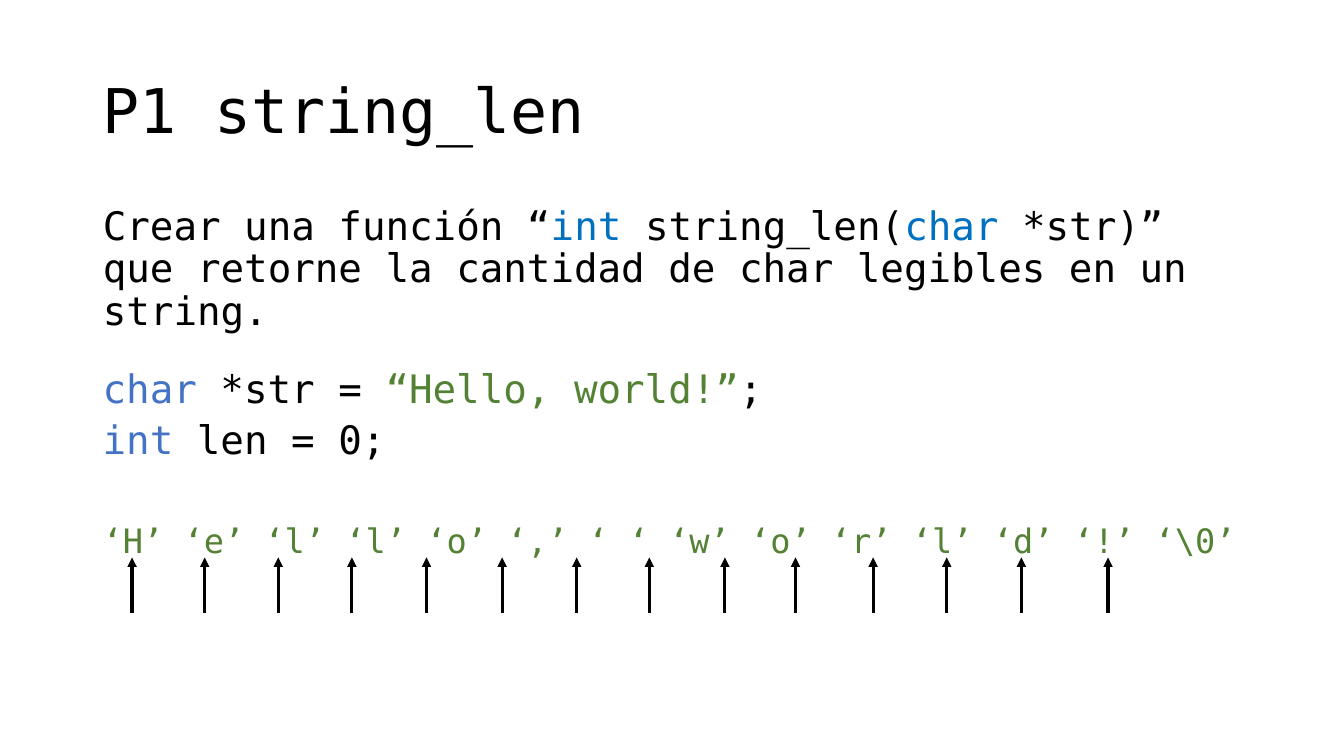
from lxml import etree
from pptx import Presentation
from pptx.dml.color import RGBColor
from pptx.enum.shapes import MSO_CONNECTOR
from pptx.enum.text import MSO_ANCHOR, MSO_AUTO_SIZE, PP_ALIGN
from pptx.oxml.ns import qn
from pptx.util import Pt

STRAIGHT = MSO_CONNECTOR.STRAIGHT
TOP, MIDDLE = MSO_ANCHOR.TOP, MSO_ANCHOR.MIDDLE
LEFT = PP_ALIGN.LEFT
NO_AUTOFIT = MSO_AUTO_SIZE.NONE

# Content: a paragraph is (size, space before, runs), a run is (text, colour)
FONT = "DejaVu Sans Mono"
COLORS = {"black": "000000", "type": "0070C0", "keyword": "4472C4", "string": "548235"}
HEADING = [(44, 0, [("P1 string_len", "black")])]
TASK = [(28, 10, [
    ("Crear una función “", "black"),
    ("int ", "type"),
    ("string_len(", "black"),
    ("char", "type"),
    (" *str)” que retorne la cantidad de char legibles en un string.", "black"),
])]
CODE = [
    (28, 0, [("char", "keyword"), (" *str = ", "black"),
             ("“Hello, world!”", "string"), (";", "black")]),
    (28, 10, [("int ", "keyword"), ("len = 0;", "black")]),
    (24, 47, [("‘H’ ‘e’ ‘l’ ‘l’ ‘o’ ‘,’ ‘ ‘ ‘w’ ‘o’ ‘r’ ‘l’ ‘d’ ‘!’ ‘\\0’", "string")]),
]

# Layout in px, 100 to the inch
PX = 9144
MARGIN, TEXT_WIDTH = 92, 1150
CODE_INSET = 65
ARROW_XS = [131, 203, 276, 349, 423, 498, 572, 644, 719, 789, 866, 939, 1013, 1099]
ARROW_FOOT, ARROW_TIP = 608, 553


def color(name):
    return RGBColor.from_string(COLORS[name])


def fill_text(block, top, height, paragraphs, line_spacing, anchor=TOP):
    block.left, block.top = MARGIN * PX, top * PX
    block.width, block.height = TEXT_WIDTH * PX, height * PX
    frame = block.text_frame
    frame.word_wrap = True
    frame.auto_size = NO_AUTOFIT
    frame.vertical_anchor = anchor
    for i, (size, space_before, runs) in enumerate(paragraphs):
        paragraph = frame.add_paragraph() if i else frame.paragraphs[0]
        paragraph.alignment = LEFT
        paragraph.line_spacing = line_spacing
        paragraph.space_before = Pt(space_before)
        properties = paragraph._p.get_or_add_pPr()
        properties.set("marL", "0")
        properties.set("indent", "0")
        etree.SubElement(properties, qn("a:buNone"))
        for text, color_name in runs:
            run = paragraph.add_run()
            run.text = text
            run.font.name = FONT
            run.font.size = Pt(size)
            run.font.color.rgb = color(color_name)


def add_arrow(slide, x):
    arrow = slide.shapes.add_connector(
        STRAIGHT, x * PX, ARROW_FOOT * PX, x * PX, ARROW_TIP * PX)
    arrow.line.color.rgb = color("black")
    arrow.line.width = Pt(2.25)
    etree.SubElement(arrow.line._get_or_add_ln(), qn("a:tailEnd"), type="triangle")
    etree.SubElement(arrow._element.spPr, qn("a:effectLst"))


def main():
    deck = Presentation()
    deck.slide_width, deck.slide_height = 1333 * PX, 750 * PX
    slide = deck.slides.add_slide(deck.slide_layouts[1])

    # Title, task and code
    fill_text(slide.shapes.title, 40, 145, HEADING, 0.9, MIDDLE)
    fill_text(slide.placeholders[1], 200, 103, TASK, 0.9)
    code = slide.shapes.add_textbox(0, 0, PX, PX)
    fill_text(code, 305, 248, CODE, 0.8)
    code.text_frame.margin_top = CODE_INSET * PX

    # One arrow under each readable character
    for x in ARROW_XS:
        add_arrow(slide, x)

    deck.save("out.pptx")


if __name__ == "__main__":
    main()
